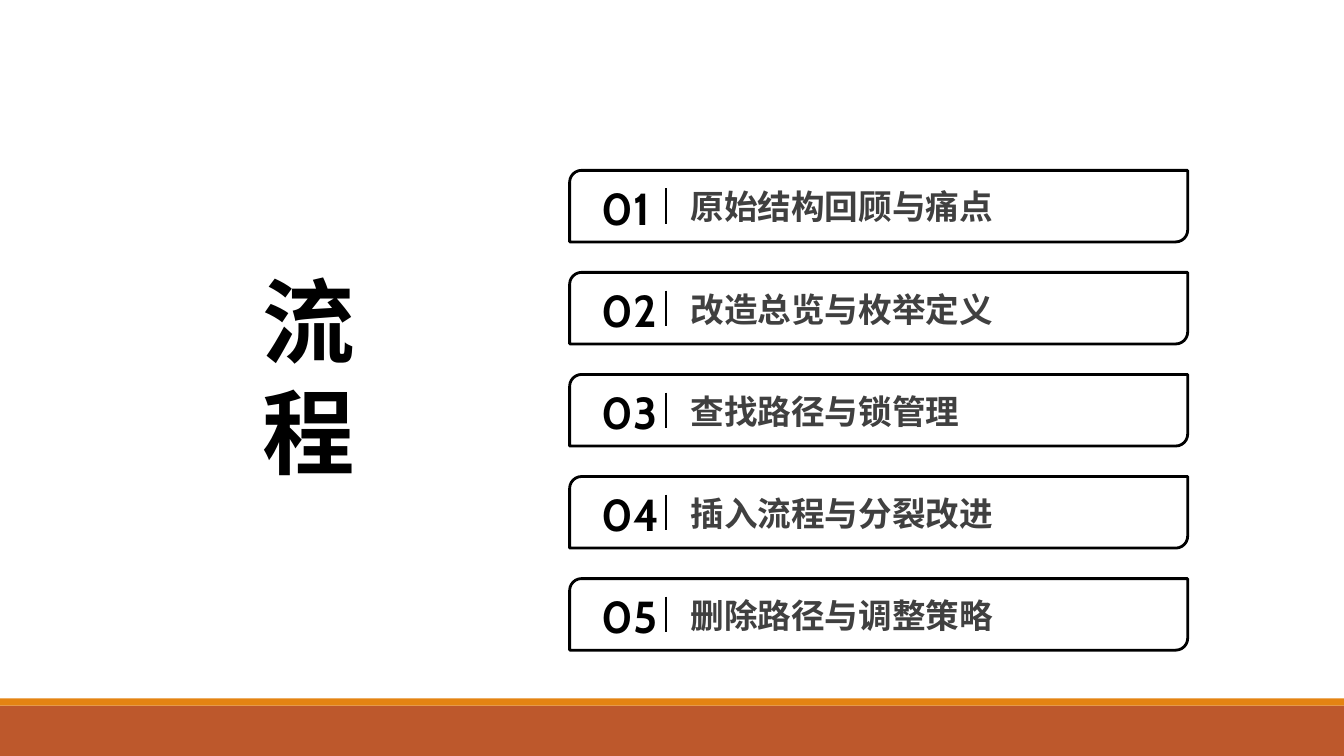
from dataclasses import dataclass

from lxml import etree
from pptx import Presentation
from pptx.dml.color import RGBColor
from pptx.enum import shapes, text
from pptx.oxml import ns
from pptx.util import Inches, Pt

HEADING = "流程"
STEPS = [
    "原始结构回顾与痛点",
    "改造总览与枚举定义",
    "查找路径与锁管理",
    "插入流程与分裂改进",
    "删除路径与调整策略",
]


@dataclass(frozen=True)
class Theme:
    ink: RGBColor = RGBColor.from_string("000000")
    soft_ink: RGBColor = RGBColor.from_string("404040")
    rust: RGBColor = RGBColor.from_string("BD582C")
    amber: RGBColor = RGBColor.from_string("E48312")
    heading_font: str = "Calibri"
    step_font: str = "Cabin"
    heading_size: int = 66
    number_size: int = 32
    step_size: int = 24


THEME = Theme()
BANDS = [(7, 0.5, THEME.rust), (6.93, 0.07, THEME.amber)]
WIDTH, HEIGHT = 13.33, 7.5
FRAME_LEFT, FRAME_WIDTH, FRAME_HEIGHT = 5.65, 6.13, 0.71
FIRST_TOP, LAST_TOP = 1.69, 5.74
PITCH = (LAST_TOP - FIRST_TOP) / (len(STEPS) - 1)
DIVIDER_LEFT, DIVIDER_INSET = 6.61, 0.18


def box(left, top, width, height):
    return [Inches(length) for length in (left, top, width, height)]


def write(holder, words, font_name, size, color, align):
    frame = holder.text_frame
    frame_format = {
        "word_wrap": True,
        "auto_size": text.MSO_AUTO_SIZE.SHAPE_TO_FIT_TEXT,
        "vertical_anchor": text.MSO_ANCHOR.TOP,
    }
    for key, value in frame_format.items():
        setattr(frame, key, value)
    paragraph = frame.paragraphs[0]
    paragraph.alignment = align
    run = paragraph.add_run()
    run.text = words
    for key, value in {"name": font_name, "size": Pt(size), "bold": True}.items():
        setattr(run.font, key, value)
    run.font.color.rgb = color
    east_asian = etree.SubElement(run.font._element, ns.qn("a:ea"))
    east_asian.set("typeface", font_name)


def add_band(slide, top, height, color):
    band = slide.shapes.add_shape(
        shapes.MSO_SHAPE.RECTANGLE, *box(0, top, WIDTH, height))
    band.shadow.inherit = False
    band.fill.solid()
    band.fill.fore_color.rgb = color
    band.line.fill.background()


def add_step(slide, number, words, top):
    frame = slide.shapes.add_shape(
        shapes.MSO_SHAPE.ROUND_2_DIAG_RECTANGLE,
        *box(FRAME_LEFT, top, FRAME_WIDTH, FRAME_HEIGHT))
    frame.shadow.inherit = False
    frame.fill.background()

    divider = slide.shapes.add_connector(
        shapes.MSO_CONNECTOR.STRAIGHT,
        Inches(DIVIDER_LEFT), Inches(top + DIVIDER_INSET),
        Inches(DIVIDER_LEFT), Inches(top + FRAME_HEIGHT - DIVIDER_INSET))
    etree.SubElement(divider._element.spPr, ns.qn("a:effectLst"))
    for outlined, weight in ((frame, 2), (divider, 1.5)):
        outlined.line.color.rgb = THEME.ink
        outlined.line.width = Pt(weight)
    divider._element.spPr.append(divider._element.spPr.find(ns.qn("a:effectLst")))

    labels = [
        (f"{number:02}", (5.87, top + 0.05, 1.31, 0.53), THEME.number_size, THEME.ink),
        (words, (6.75, top + 0.11, 4.87, 0.4), THEME.step_size, THEME.soft_ink),
    ]
    for label, place, size, color in labels:
        holder = slide.shapes.add_textbox(*box(*place))
        write(holder, label, THEME.step_font, size, color, text.PP_ALIGN.LEFT)


def main():
    deck = Presentation()
    deck.slide_width, deck.slide_height = Inches(WIDTH), Inches(HEIGHT)
    slide = deck.slides.add_slide(deck.slide_layouts[5])

    heading = slide.shapes.title
    heading.left, heading.top, heading.width, heading.height = box(2.26, 2.57, 1.6, 2.32)
    write(heading, HEADING, THEME.heading_font, THEME.heading_size,
          THEME.ink, text.PP_ALIGN.CENTER)

    for band in BANDS:
        add_band(slide, *band)
    for index, words in enumerate(STEPS):
        add_step(slide, index + 1, words, FIRST_TOP + index * PITCH)

    deck.save("out.pptx")


if __name__ == "__main__":
    main()
